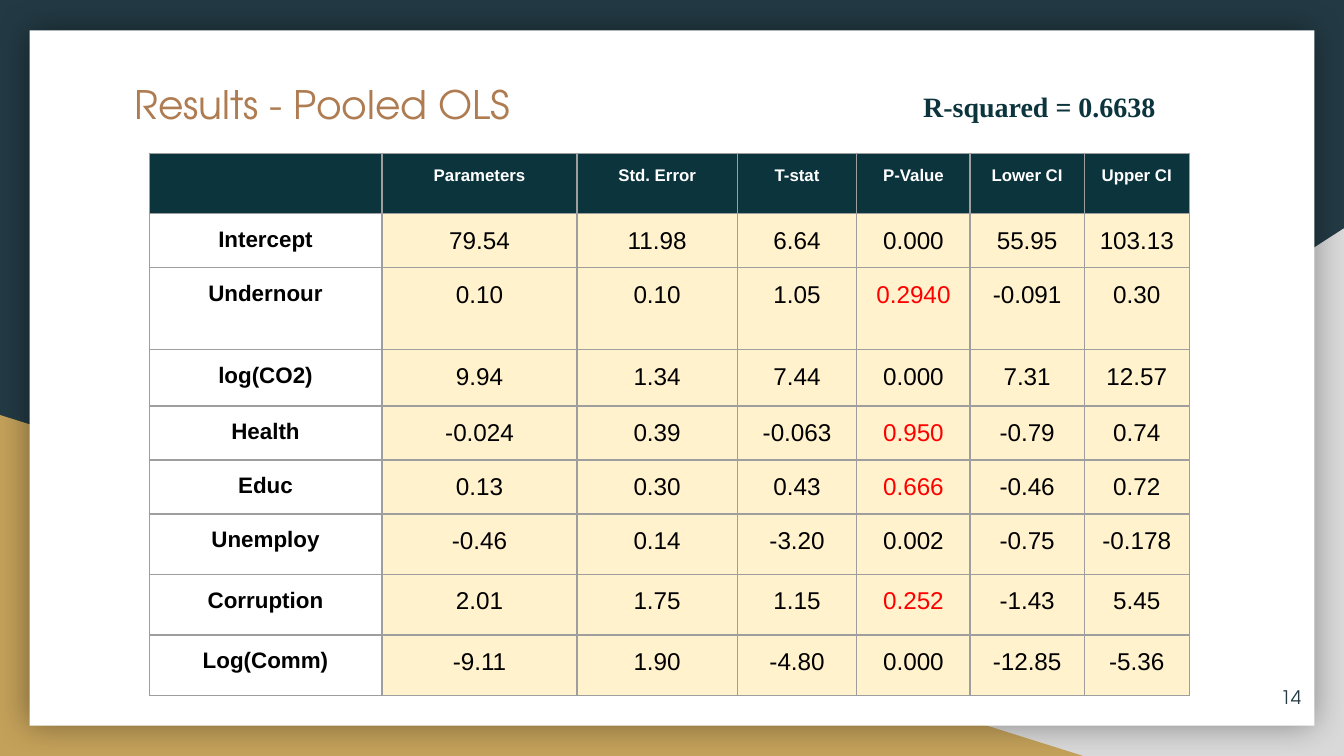
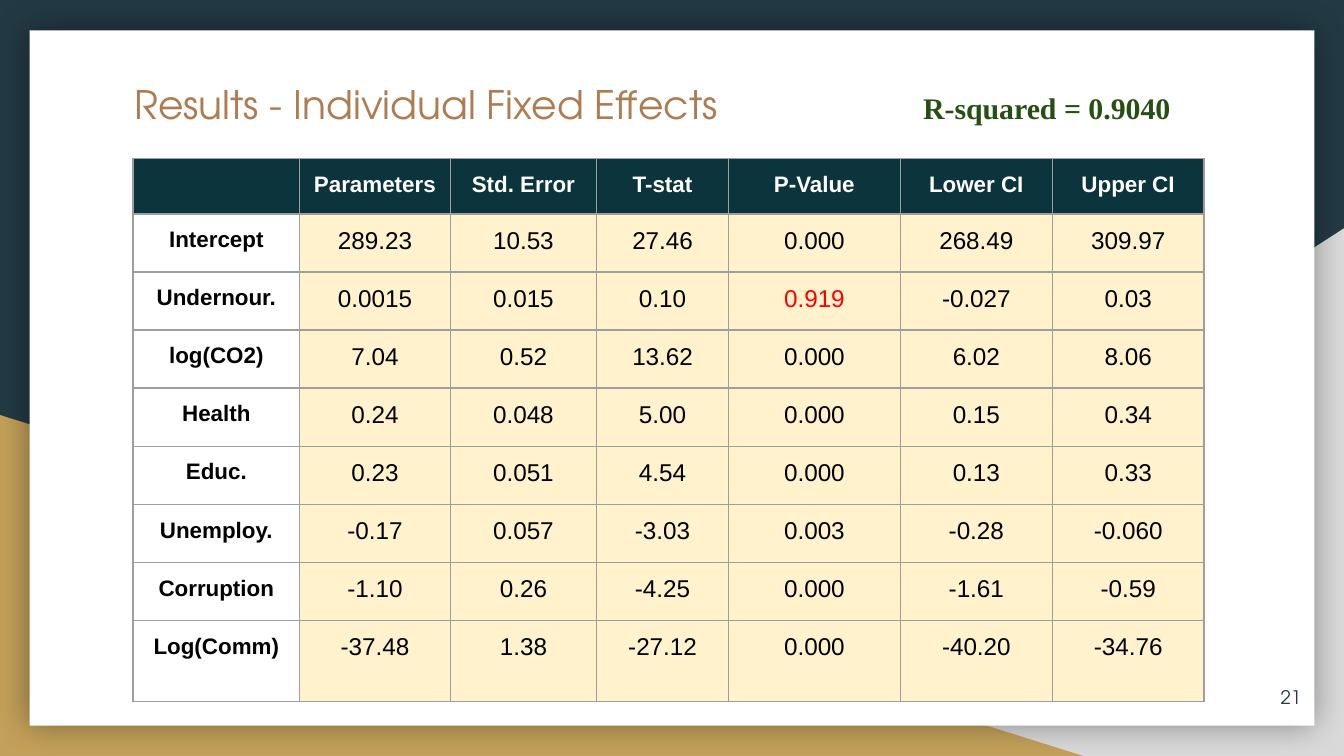
from lxml.etree import SubElement
from pptx import Presentation
from pptx.dml.color import RGBColor
from pptx.enum.shapes import MSO_SHAPE
from pptx.enum.text import MSO_ANCHOR, MSO_AUTO_SIZE, PP_ALIGN
from pptx.oxml.ns import qn
from pptx.util import Inches, Pt

W, H = Inches(10), Inches(10) * 9 // 16
NAVY, GOLD, GREY, WHITE, BLACK = "233A44", "C4A15A", "D9D9D9", "FFFFFF", "000000"
COPPER, TEAL, GREEN, CREAM = "AF7B51", "0C343D", "274E13", "FFF2CC"
RED, BORDER = "FF0000", "9E9E9E"
DISPLAY, SANS, SERIF = "TeX Gyre Adventor", "Arial", "Times New Roman"
INSET = Inches(0.1)
ALPHA = 0.05

HEADERS = ["", "Parameters", "Std. Error", "T-stat", "P-Value", "Lower CI", "Upper CI"]
P_COL = HEADERS.index("P-Value")

# Boxes are left, top, width, height in percent of the slide.
TITLE_BOX = (9, 8.9, 82.1, 10.5)
NUMBER_BOX = (91.8, 88.36, 6, 7.64)

RESULTS = [
    dict(
        title="Results - Pooled OLS", number="14",
        fit="R-squared = 0.6638", fit_size=15, fit_color=TEAL,
        fit_box=(67.7, 10.13, 20.8, 8),
        box=(11.1, 20.27, 77.4, 71.64), header_size=9,
        cols=[1.73, 1.45, 1.19, 0.89, 0.84, 0.85, 0.78],
        rows=[0.45, 0.4, 0.61, 0.42, 0.4, 0.4, 0.45, 0.45, 0.45],
        data=[
            ["Intercept", "79.54", "11.98", "6.64", "0.000", "55.95", "103.13"],
            ["Undernour", "0.10", "0.10", "1.05", "0.2940", "-0.091", "0.30"],
            ["log(CO2)", "9.94", "1.34", "7.44", "0.000", "7.31", "12.57"],
            ["Health", "-0.024", "0.39", "-0.063", "0.950", "-0.79", "0.74"],
            ["Educ", "0.13", "0.30", "0.43", "0.666", "-0.46", "0.72"],
            ["Unemploy", "-0.46", "0.14", "-3.20", "0.002", "-0.75", "-0.178"],
            ["Corruption", "2.01", "1.75", "1.15", "0.252", "-1.43", "5.45"],
            ["Log(Comm)", "-9.11", "1.90", "-4.80", "0.000", "-12.85", "-5.36"],
        ],
    ),
    dict(
        title="Results - Individual Fixed Effects", number="21",
        fit="R-squared = 0.9040", fit_size=16, fit_color=GREEN,
        fit_box=(67.7, 10.13, 20.8, 8.36),
        box=(9.9, 20.98, 79.7, 71.82), header_size=12,
        cols=[1.24, 1.12, 1.09, 0.98, 1.28, 1.13, 1.13],
        rows=[0.41] + [0.43] * 7 + [0.6],
        data=[
            ["Intercept", "289.23", "10.53", "27.46", "0.000", "268.49", "309.97"],
            ["Undernour.", "0.0015", "0.015", "0.10", "0.919", "-0.027", "0.03"],
            ["log(CO2)", "7.04", "0.52", "13.62", "0.000", "6.02", "8.06"],
            ["Health", "0.24", "0.048", "5.00", "0.000", "0.15", "0.34"],
            ["Educ.", "0.23", "0.051", "4.54", "0.000", "0.13", "0.33"],
            ["Unemploy.", "-0.17", "0.057", "-3.03", "0.003", "-0.28", "-0.060"],
            ["Corruption", "-1.10", "0.26", "-4.25", "0.000", "-1.61", "-0.59"],
            ["Log(Comm)", "-37.48", "1.38", "-27.12", "0.000", "-40.20", "-34.76"],
        ],
    ),
]


def rgb(color):
    return RGBColor.from_string(color)


def paint(target, color):
    target.fill.solid()
    target.fill.fore_color.rgb = rgb(color)


def place(box):
    x, y, w, h = box
    return [round(v) for v in (W * x / 100, H * y / 100, W * w / 100, H * h / 100)]


def shares(total, weights):
    return [round(total * weight / sum(weights)) for weight in weights]


def write(tf, text, size, font=SANS, color=BLACK, bold=False, align=PP_ALIGN.LEFT):
    p = tf.paragraphs[0]
    p.alignment = align
    if not text:
        SubElement(p._p, qn("a:endParaRPr"), sz=str(size * 100))
        return
    r = p.add_run()
    r.text = text
    r.font.size, r.font.name, r.font.bold = Pt(size), font, bold
    r.font.color.rgb = rgb(color)


def set_insets(target):
    target.margin_left = target.margin_right = INSET
    target.margin_top = target.margin_bottom = INSET


def add_text(slide, box, text, anchor=MSO_ANCHOR.TOP, fit=MSO_AUTO_SIZE.NONE, **fmt):
    tf = slide.shapes.add_textbox(*place(box)).text_frame
    tf.word_wrap, tf.auto_size, tf.vertical_anchor = True, fit, anchor
    set_insets(tf)
    write(tf, text, **fmt)


def add_color(parent, color):
    fill = SubElement(parent, qn("a:solidFill"))
    SubElement(fill, qn("a:srgbClr"), val=color)


def add_glow_shadow(sp):
    """Soft shadow spreading evenly around the shape."""
    effects = sp._element.spPr.find(qn("a:effectLst"))
    shadow = SubElement(effects, qn("a:outerShdw"), blurRad=str(Pt(18)), dist="0",
                        dir="0", algn="ctr", rotWithShape="0")
    color = SubElement(shadow, qn("a:srgbClr"), val=BLACK)
    SubElement(color, qn("a:alpha"), val="40000")


def build_backdrop(layout, slide):
    """Draw the shared backdrop on a slide, then move it to the back of its layout."""
    paint(layout.background, NAVY)
    parts = [
        (MSO_SHAPE.RIGHT_TRIANGLE, (39.2, 30.2, 60.8, 69.8), GREY),
        (MSO_SHAPE.RIGHT_TRIANGLE, (0, 54.9, 80.6, 45.1), GOLD),
        (MSO_SHAPE.RECTANGLE, (2.2, 4, 95.6, 92), WHITE),
    ]
    shapes = []
    for kind, box, color in parts:
        sp = slide.shapes.add_shape(kind, *place(box))
        sp.shadow.inherit = False
        paint(sp, color)
        sp.line.fill.background()
        shapes.append(sp)
    right_corner, _, card = shapes
    right_corner._element.spPr.xfrm.set("flipH", "1")
    add_glow_shadow(card)
    for i, sp in enumerate(shapes):
        layout.shapes._spTree.insert(2 + i, sp._element)


def add_title(slide, text):
    title = slide.shapes.title
    title.left, title.top, title.width, title.height = place(TITLE_BOX)
    tf = title.text_frame
    tf.word_wrap, tf.auto_size = True, MSO_AUTO_SIZE.NONE
    tf.vertical_anchor = MSO_ANCHOR.TOP
    set_insets(tf)
    write(tf, text, size=21, font=DISPLAY, color=COPPER)


def set_borders(cell):
    tcPr = cell._tc.get_or_add_tcPr()
    for side in ("lnL", "lnR", "lnT", "lnB"):
        add_color(SubElement(tcPr, qn(f"a:{side}"), w=str(Pt(0.75))), BORDER)


def cell_style(row, col, text, header_size):
    """Return the fill and text format that a cell's role calls for."""
    if row == 0:
        return TEAL, dict(size=header_size, color=WHITE, bold=True)
    if col == 0:
        return WHITE, dict(size=12, bold=True)
    insignificant = col == P_COL and float(text) > ALPHA
    return CREAM, dict(size=13, color=RED if insignificant else BLACK)


def add_results_table(slide, box, cols, rows, data, header_size):
    x, y, w, h = place(box)
    table = slide.shapes.add_table(len(rows), len(cols), x, y, w, h).table
    table.first_row = table.horz_banding = False
    for column, width in zip(table.columns, shares(w, cols)):
        column.width = width
    for row, height in zip(table.rows, shares(h, rows)):
        row.height = height
    for i, values in enumerate([HEADERS] + data):
        for j, text in enumerate(values):
            cell = table.cell(i, j)
            fill, fmt = cell_style(i, j, text, header_size)
            set_insets(cell)
            set_borders(cell)
            paint(cell, fill)
            write(cell.text_frame, text, align=PP_ALIGN.CENTER, **fmt)


def build_results(slide, res):
    add_title(slide, res["title"])
    add_results_table(slide, res["box"], res["cols"], res["rows"], res["data"],
                      res["header_size"])
    add_text(slide, res["fit_box"], res["fit"], fit=MSO_AUTO_SIZE.SHAPE_TO_FIT_TEXT,
             size=res["fit_size"], font=SERIF, color=res["fit_color"], bold=True)
    add_text(slide, NUMBER_BOX, res["number"], anchor=MSO_ANCHOR.MIDDLE,
             size=10, font=DISPLAY, color=NAVY, align=PP_ALIGN.RIGHT)


def main():
    prs = Presentation()
    prs.slide_width, prs.slide_height = W, H
    layout = prs.slide_layouts.get_by_name("Title Only")
    slides = [prs.slides.add_slide(layout) for _ in RESULTS]
    build_backdrop(layout, slides[0])
    for slide, res in zip(slides, RESULTS):
        build_results(slide, res)
    prs.save("out.pptx")


if __name__ == "__main__":
    main()
